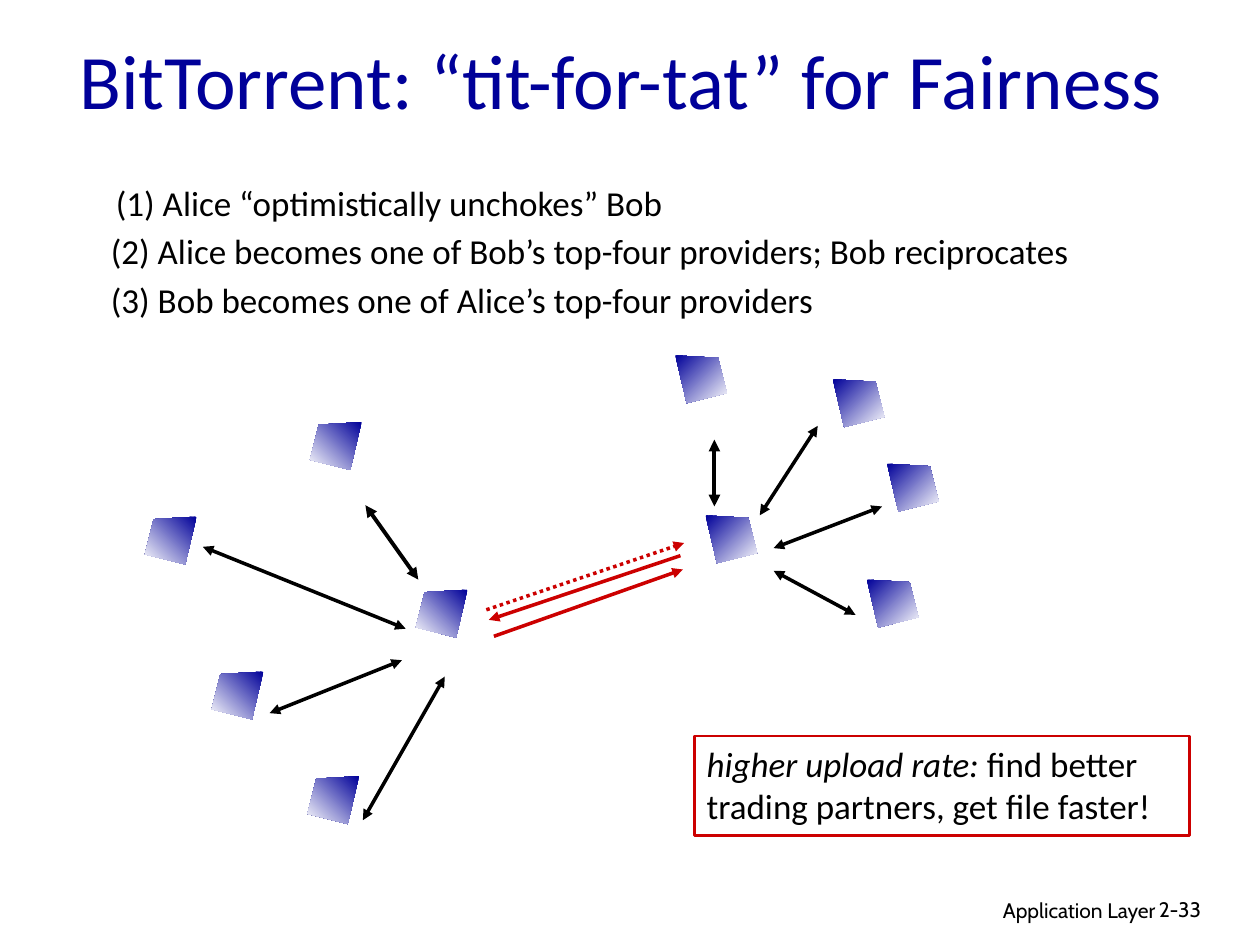
from lxml.etree import SubElement as Sub
from pptx import Presentation
from pptx.dml.color import RGBColor as RGB
from pptx.enum.dml import MSO_LINE as Dash
from pptx.enum.shapes import MSO_CONNECTOR as Conn, MSO_SHAPE as Shape
from pptx.enum.text import MSO_ANCHOR as Anchor, MSO_AUTO_SIZE as Auto, PP_ALIGN as Align
from pptx.oxml.ns import qn
from pptx.util import Pt

PX = 9144
NAVY = RGB(0x00, 0x00, 0x99)
RED = RGB(0xCC, 0x00, 0x00)
BLACK = RGB(0x00, 0x00, 0x00)
WHITE = RGB(0xFF, 0xFF, 0xFF)
PEER = [(0, 0), (34, 2), (41, 30), (9, 38)]
PEER_W = 41


def scale(*nums):
    """Turn px lengths into EMU."""
    return [num * PX for num in nums]


def style(frame, size, color=BLACK, face="Calibri", align=Align.LEFT):
    """Format every run of a text frame."""
    for para in frame.paragraphs:
        para.alignment = align
        for run in para.runs:
            font = run.font
            font.name, font.size, font.color.rgb = face, Pt(size), color


def add_title(slide, box, text):
    """Place and format the title."""
    title = slide.shapes.title
    title.left, title.top, title.width, title.height = scale(*box)
    frame = title.text_frame
    frame.text = text
    frame.auto_size = Auto.NONE
    frame.vertical_anchor = Anchor.MIDDLE
    style(frame, 44, NAVY)


def add_step(slide, box, text):
    """Add one numbered step on a single line."""
    frame = slide.shapes.add_textbox(*scale(*box)).text_frame
    frame.margin_left = frame.margin_right = 0
    frame.margin_top = frame.margin_bottom = 0
    frame.word_wrap = False
    frame.auto_size = Auto.SHAPE_TO_FIT_TEXT
    frame.text = text
    style(frame, 20)


def add_peer(slide, left, top, flip):
    """Add a shaded peer, mirrored when flip is set."""
    pts = [(PEER_W - x if flip else x, y) for x, y in PEER]
    path = slide.shapes.build_freeform(*pts[0], scale=PX)
    path.add_line_segments(pts[1:], close=True)
    peer = path.convert_to_shape(*scale(left, top))
    peer.shadow.inherit = False
    peer.line.fill.background()
    fill = peer.fill
    fill.gradient()
    fill.gradient_angle = 225 if flip else 315
    for stop, color, pos in zip(fill.gradient_stops, (NAVY, WHITE), (0, 1)):
        stop.color.rgb, stop.position = color, pos


def add_link(slide, box, ends, color=BLACK, width=2, both=True, dash=None):
    """Draw an arrow between two points of a box."""
    left, top = box[:2]
    x1, y1, x2, y2 = ends
    link = slide.shapes.add_connector(
        Conn.STRAIGHT, *scale(left + x1, top + y1, left + x2, top + y2))
    line = link.line
    line.color.rgb, line.width = color, Pt(width)
    if dash:
        line.dash_style = dash
    tree = link._element.spPr
    for tag in ("a:headEnd", "a:tailEnd") if both else ("a:tailEnd",):
        Sub(tree.find(qn("a:ln")), qn(tag), type="triangle")
    Sub(tree, qn("a:effectLst"))


def add_swarm(slide, box, peers, links, main, flip):
    """Draw a group of peers, its links and its heavier main link."""
    for ends in links:
        add_link(slide, box, ends)
    add_link(slide, box, main, width=2.25)
    for x, y in peers:
        add_peer(slide, box[0] + x, box[1] + y, flip)


def add_trade(slide, box):
    """Draw the three exchanges between Alice and Bob."""
    add_link(slide, box, (0, 53, 157, 0), RED, both=False, dash=Dash.ROUND_DOT)
    for ends in [(154, 10, 2, 61), (6, 74, 156, 21)]:
        add_link(slide, box, ends, RED, both=False)


def add_note(slide, box, lead, rest):
    """Add the framed conclusion with an italic lead."""
    note = slide.shapes.add_shape(Shape.RECTANGLE, *scale(*box))
    note.shadow.inherit = False
    note.fill.background()
    note.line.color.rgb, note.line.width = RED, Pt(1.5)
    frame = note.text_frame
    frame.word_wrap = True
    frame.vertical_anchor = Anchor.TOP
    frame.auto_size = Auto.SHAPE_TO_FIT_TEXT
    para = frame.paragraphs[0]
    for text, slant in ((lead, True), (rest, False)):
        run = para.add_run()
        run.text, run.font.italic = text, slant
    style(frame, 20)


def add_foot(slide, box, text, align):
    """Add one part of the footer."""
    frame = slide.shapes.add_textbox(*scale(*box)).text_frame
    frame.word_wrap = True
    frame.text = text
    style(frame, 12, face="Cabin", align=align)


def main():
    """Build the slide and save it."""
    deck = Presentation()
    deck.slide_width, deck.slide_height = scale(1000, 750)
    slide = deck.slides.add_slide(deck.slide_layouts[5])
    add_title(slide, (53, 0, 932, 125), "BitTorrent: “tit-for-tat” for Fairness")
    add_step(slide, (92, 144, 440, 33), "(1) Alice “optimistically unchokes” Bob")
    add_step(slide, (88, 182, 777, 33),
             "(2) Alice becomes one of Bob’s top-four providers; Bob reciprocates")
    add_step(slide, (88, 221, 570, 33),
             "(3) Bob becomes one of Alice’s top-four providers")
    add_swarm(slide, (115, 335),
              [(0, 75), (53, 198), (129, 281), (215, 133), (131, 0)],
              [(207, 164, 46, 99), (204, 189, 99, 231), (238, 202, 173, 316)],
              (175, 66, 217, 125), True)
    add_swarm(slide, (536, 282),
              [(152, 178), (168, 86), (125, 19), (24, 127), (0, 0)],
              [(67, 127, 113, 56), (78, 153, 164, 120), (78, 171, 143, 206)],
              (31, 67, 31, 120), False)
    add_trade(slide, (386, 431))
    add_note(slide, (551, 584, 393, 79), "higher upload rate:",
             " find better trading partners, get file faster!")
    add_foot(slide, (610, 707, 317, 31), "Application Layer", Align.RIGHT)
    add_foot(slide, (910, 707, 74, 30), "2-33", Align.LEFT)
    deck.save("out.pptx")


if __name__ == "__main__":
    main()
